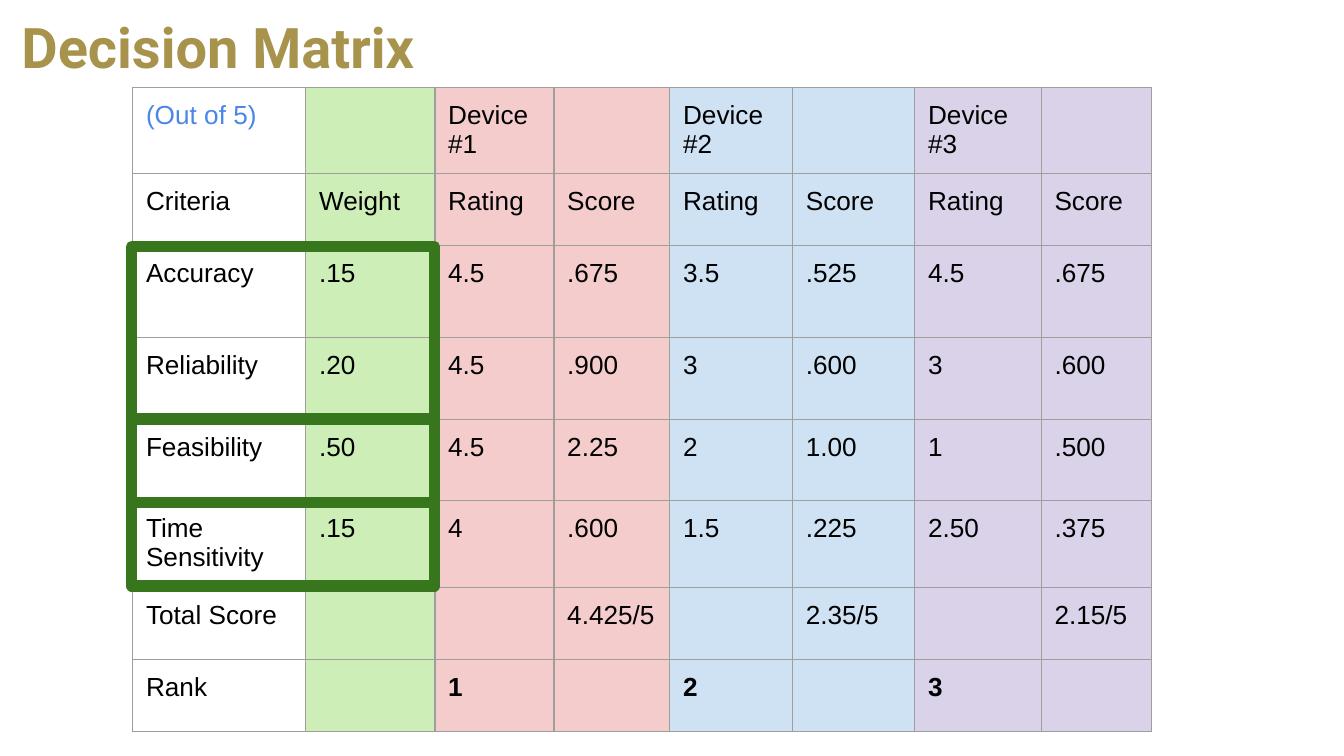
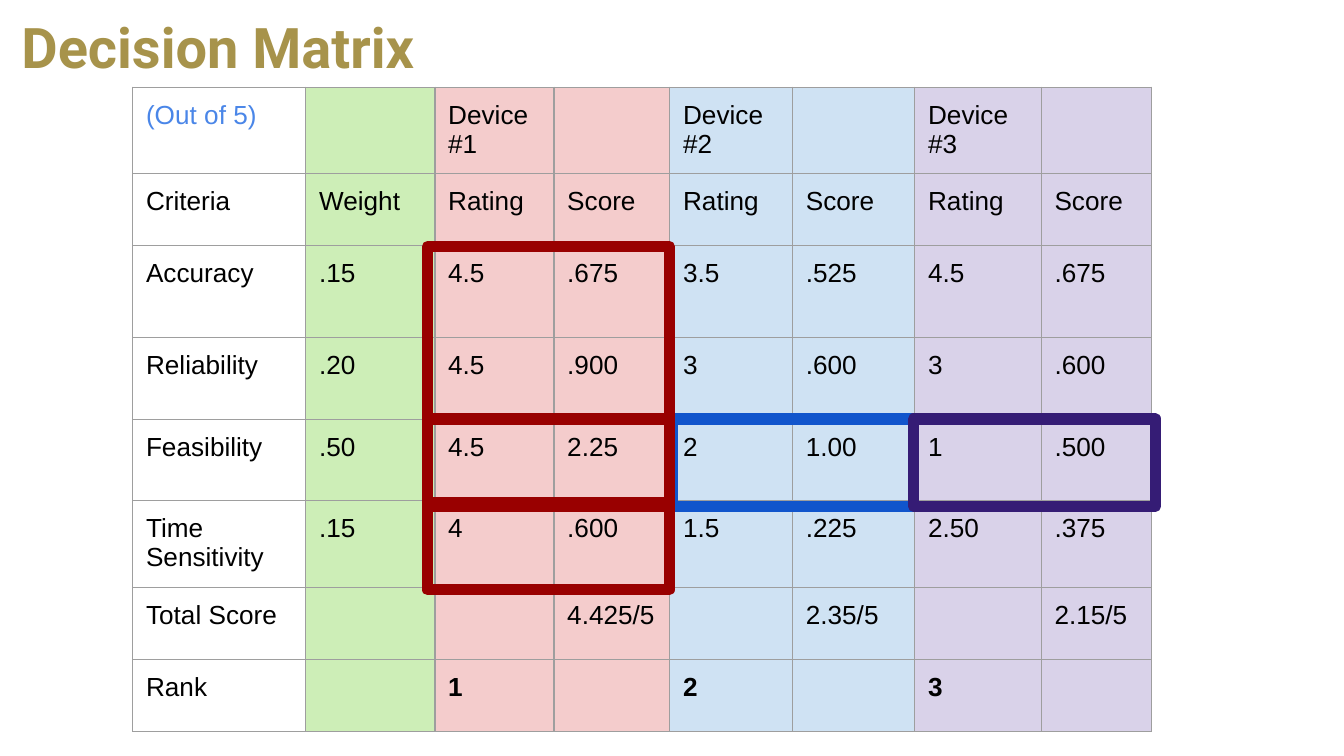
import pptx
import pptx.dml.color
import pptx.enum.shapes
import pptx.enum.text
import pptx.oxml.ns
import pptx.util
from lxml import etree

Cm, Pt = pptx.util.Cm, pptx.util.Pt
RGBColor = pptx.dml.color.RGBColor

GOLD = RGBColor(0xA7, 0x93, 0x4B)
BLACK = RGBColor(0x00, 0x00, 0x00)
SCALE_BLUE = RGBColor(0x4A, 0x86, 0xE8)
GRID_GREY = RGBColor(0x9E, 0x9E, 0x9E)
PALE_GREEN = RGBColor(0xCD, 0xEE, 0xB7)
PALE_RED = RGBColor(0xF4, 0xCC, 0xCC)
PALE_BLUE = RGBColor(0xCF, 0xE2, 0xF3)
PALE_PURPLE = RGBColor(0xD9, 0xD2, 0xE9)
GREEN = RGBColor(0x38, 0x76, 0x1D)
RED = RGBColor(0x99, 0x00, 0x00)
BLUE = RGBColor(0x11, 0x55, 0xCC)
PURPLE = RGBColor(0x35, 0x1C, 0x75)

TITLE = "Decision Matrix"
MATRIX = [
    ["(Out of 5)", "", "Device #1", "", "Device #2", "", "Device #3", ""],
    ["Criteria", "Weight"] + ["Rating", "Score"] * 3,
    ["Accuracy", ".15", "4.5", ".675", "3.5", ".525", "4.5", ".675"],
    ["Reliability", ".20", "4.5", ".900", "3", ".600", "3", ".600"],
    ["Feasibility", ".50", "4.5", "2.25", "2", "1.00", "1", ".500"],
    ["Time Sensitivity", ".15", "4", ".600", "1.5", ".225", "2.50", ".375"],
    ["Total Score", "", "", "4.425/5", "", "2.35/5", "", "2.15/5"],
    ["Rank", "", "1", "", "2", "", "3", ""],
]
COLUMN_FILLS = [None, PALE_GREEN, PALE_RED, PALE_RED,
                PALE_BLUE, PALE_BLUE, PALE_PURPLE, PALE_PURPLE]

# All lengths in centimetres
COLUMN_WIDTHS = [3.27, 2.44, 2.25, 2.19, 2.32, 2.31, 2.39, 2.08]
ROW_HEIGHTS = [1.63, 1.36, 1.74, 1.55, 1.53, 1.65, 1.35, 1.36]
TABLE_LEFT, TABLE_TOP = 2.51, 1.65
CELL_MARGIN = 0.25

# Top of each highlighted band of criteria
ACCURACY_TOP, FEASIBILITY_TOP, TIME_TOP = 4.66, 7.92, 9.5
ACCURACY_HEIGHT = FEASIBILITY_TOP - ACCURACY_TOP
WEIGHT_HEIGHT, DEVICE_HEIGHT = 1.58, 1.65
WEIGHT_BOX = (2.49, 5.72)
DEVICE_1_BOX, DEVICE_2_BOX, DEVICE_3_BOX = [
    (left, 4.57) for left in (8.08, 12.7, 17.27)]


def criteria_frames(box, height, color):
    """Frames for accuracy with reliability, feasibility, and time."""
    bands = [(ACCURACY_TOP, ACCURACY_HEIGHT),
             (FEASIBILITY_TOP, height), (TIME_TOP, height)]
    return [(box, band, color) for band in bands]


FEASIBILITY_BAND = (FEASIBILITY_TOP, DEVICE_HEIGHT)
SLIDE_FRAMES = [
    criteria_frames(WEIGHT_BOX, WEIGHT_HEIGHT, GREEN),
    [(DEVICE_2_BOX, FEASIBILITY_BAND, BLUE),
     (DEVICE_3_BOX, FEASIBILITY_BAND, PURPLE)]
    + criteria_frames(DEVICE_1_BOX, DEVICE_HEIGHT, RED),
]


def set_borders(cell):
    qn = pptx.oxml.ns.qn
    tcPr = cell._tc.get_or_add_tcPr()
    for side in ("a:lnL", "a:lnR", "a:lnT", "a:lnB"):
        ln = etree.SubElement(tcPr, qn(side), w=str(Pt(0.75)))
        fill = etree.SubElement(ln, qn("a:solidFill"))
        etree.SubElement(fill, qn("a:srgbClr"), val=str(GRID_GREY))


def set_title(slide):
    sp = slide.shapes.title
    sp.left, sp.top, sp.width, sp.height = Cm(0.15), Cm(0), Cm(22.96), Cm(1.65)
    tf = sp.text_frame
    tf.text = TITLE
    tf.vertical_anchor = pptx.enum.text.MSO_ANCHOR.BOTTOM
    p = tf.paragraphs[0]
    p.alignment = pptx.enum.text.PP_ALIGN.LEFT
    p.line_spacing = 0.9
    p.font.name, p.font.size, p.font.bold = "Roboto", Pt(30), True
    p.font.color.rgb = GOLD


def fill_cell(cell, text, row, col):
    cell.margin_left = cell.margin_right = Cm(CELL_MARGIN)
    cell.margin_top = cell.margin_bottom = Cm(CELL_MARGIN)
    set_borders(cell)
    if COLUMN_FILLS[col] is None:
        cell.fill.background()
    else:
        cell.fill.solid()
        cell.fill.fore_color.rgb = COLUMN_FILLS[col]
    cell.text = text
    font = cell.text_frame.paragraphs[0].font
    font.name, font.size = "Arial", Pt(14)
    font.bold = row == len(MATRIX) - 1 and col > 0
    font.color.rgb = SCALE_BLUE if row == col == 0 else BLACK


def add_matrix(slide):
    table = slide.shapes.add_table(
        len(MATRIX), len(COLUMN_WIDTHS), Cm(TABLE_LEFT), Cm(TABLE_TOP),
        Cm(sum(COLUMN_WIDTHS)), Cm(sum(ROW_HEIGHTS))).table
    table.first_row = table.horz_banding = False
    for column, width in zip(table.columns, COLUMN_WIDTHS):
        column.width = Cm(width)
    for row, height in zip(table.rows, ROW_HEIGHTS):
        row.height = Cm(height)
    for i, texts in enumerate(MATRIX):
        for j, text in enumerate(texts):
            fill_cell(table.cell(i, j), text, i, j)


def add_frame(slide, box, band, color):
    (left, width), (top, height) = box, band
    sp = slide.shapes.add_shape(
        pptx.enum.shapes.MSO_SHAPE.RECTANGLE,
        Cm(left), Cm(top), Cm(width), Cm(height))
    sp.shadow.inherit = False
    sp.fill.background()
    sp.line.color.rgb = color
    sp.line.width = Pt(6)
    etree.SubElement(sp.line._get_or_add_ln(), pptx.oxml.ns.qn("a:round"))


def main():
    prs = pptx.Presentation()
    prs.slide_width, prs.slide_height = Cm(25.4), Cm(14.29)
    for frames in SLIDE_FRAMES:
        s = prs.slides.add_slide(prs.slide_layouts[5])
        add_matrix(s)
        set_title(s)
        for box, band, color in frames:
            add_frame(s, box, band, color)
    prs.save("out.pptx")


if __name__ == "__main__":
    main()
